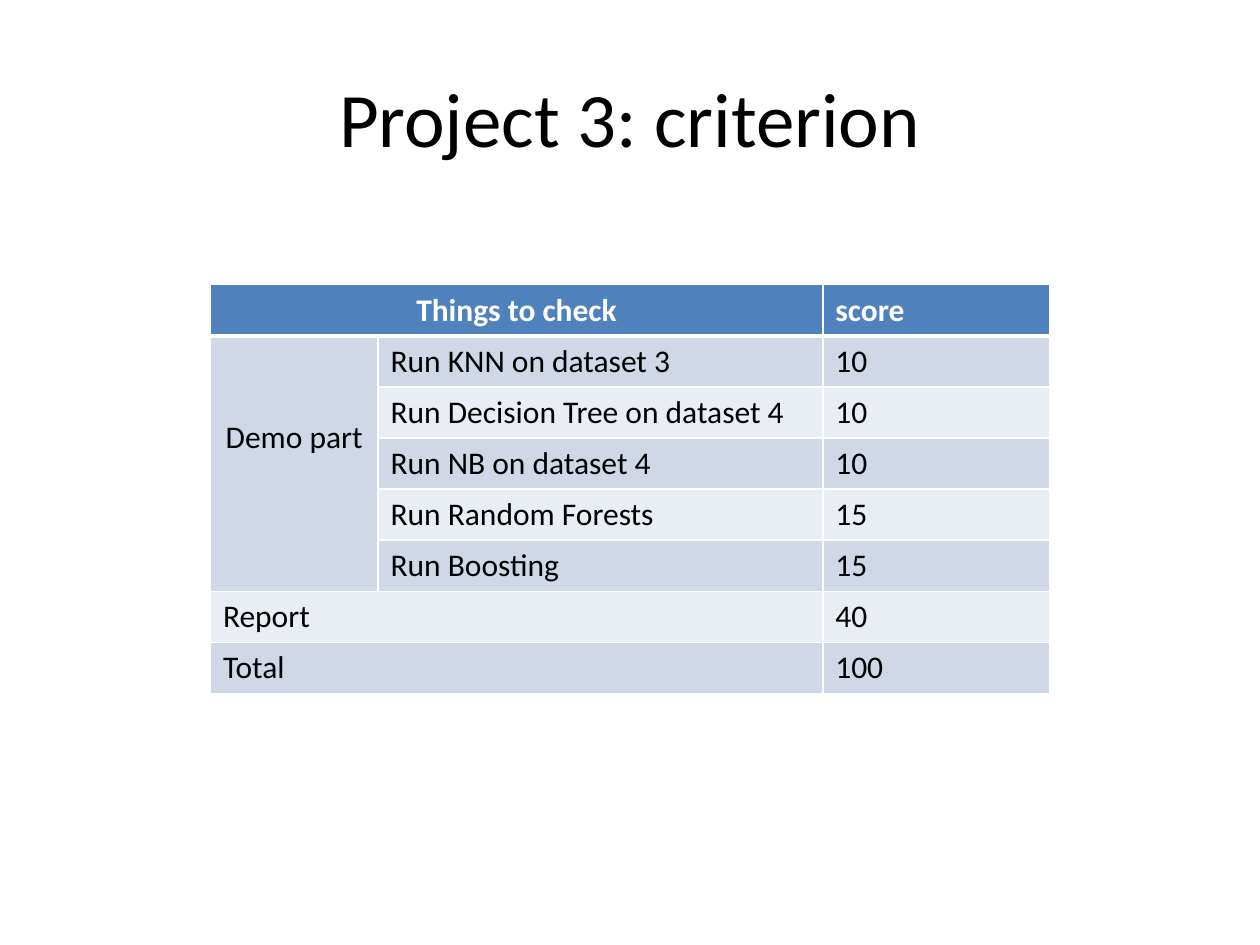
from lxml import etree
from pptx import Presentation
from pptx import util as u
from pptx.dml.color import RGBColor
from pptx.enum import text
from pptx.oxml.ns import qn

WHITE = RGBColor(0xFF, 0xFF, 0xFF)
BLACK = RGBColor(0, 0, 0)
HEADER = RGBColor(0x4F, 0x81, 0xBD)
BANDS = [RGBColor(0xE9, 0xED, 0xF4), RGBColor(0xD0, 0xD8, 0xE8)]
COLUMNS = [1.33, 3.53, 1.8]
ROW_HEIGHT = 0.405
CRITERIA = [
    ("Things to check", "", "score"),
    ("Demo part", "Run KNN on dataset 3", "10"),
    ("", "Run Decision Tree on dataset 4", "10"),
    ("", "Run NB on dataset 4", "10"),
    ("", "Run Random Forests", "15"),
    ("", "Run Boosting", "15"),
    ("Report", "", "40"),
    ("Total", "", "100"),
]
MERGES = [(0, 0, 0, 1), (1, 0, 5, 0), (6, 0, 6, 1), (7, 0, 7, 1)]
CENTERED = ["Things to check", "Demo part"]


def style_text(paragraph, size, color, bold=False):
    for run in paragraph.runs:
        run.font.name = "Calibri"
        run.font.size = u.Pt(size)
        run.font.bold = bold
        run.font.color.rgb = color


def add_border(cell, side, points):
    properties = cell._tc.get_or_add_tcPr()
    line = etree.SubElement(properties, qn("a:ln" + side), w=str(u.Pt(points)))
    fill = etree.SubElement(line, qn("a:solidFill"))
    etree.SubElement(fill, qn("a:srgbClr"), val=str(WHITE))


presentation = Presentation()
presentation.slide_width = u.Inches(10)
presentation.slide_height = u.Inches(7.5)
slide = presentation.slides.add_slide(presentation.slide_layouts[5])

title = slide.shapes.title
title.left, title.top = u.Inches(0.5), u.Inches(0.3)
title.width, title.height = u.Inches(9), u.Inches(1.25)
title.text_frame.text = "Project 3: criterion"
title.text_frame.vertical_anchor = text.MSO_ANCHOR.MIDDLE
title.text_frame.paragraphs[0].alignment = text.PP_ALIGN.CENTER
style_text(title.text_frame.paragraphs[0], 44, BLACK)

table = slide.shapes.add_table(
    len(CRITERIA), len(COLUMNS), u.Inches(1.67), u.Inches(2.26),
    u.Inches(sum(COLUMNS)), u.Inches(ROW_HEIGHT * len(CRITERIA))).table
for column, width in zip(table.columns, COLUMNS):
    column.width = u.Inches(width)

for row_index, values in enumerate(CRITERIA):
    table.rows[row_index].height = u.Inches(ROW_HEIGHT)
    is_header = row_index == 0
    for column_index, value in enumerate(values):
        cell = table.cell(row_index, column_index)
        for side in "LRTB":
            header_edge = (is_header and side == "B") or (row_index == 1 and side == "T")
            add_border(cell, side, 3 if header_edge else 1)
        cell.fill.solid()
        cell.fill.fore_color.rgb = HEADER if is_header else BANDS[row_index % 2]
        cell.text_frame.text = value
        paragraph = cell.text_frame.paragraphs[0]
        if value in CENTERED:
            paragraph.alignment = text.PP_ALIGN.CENTER
        style_text(paragraph, 18, WHITE if is_header else BLACK, is_header)

for top, left, bottom, right in MERGES:
    table.cell(top, left).merge(table.cell(bottom, right))
table.cell(1, 0).margin_top = u.Inches(0.66)

presentation.save("out.pptx")
